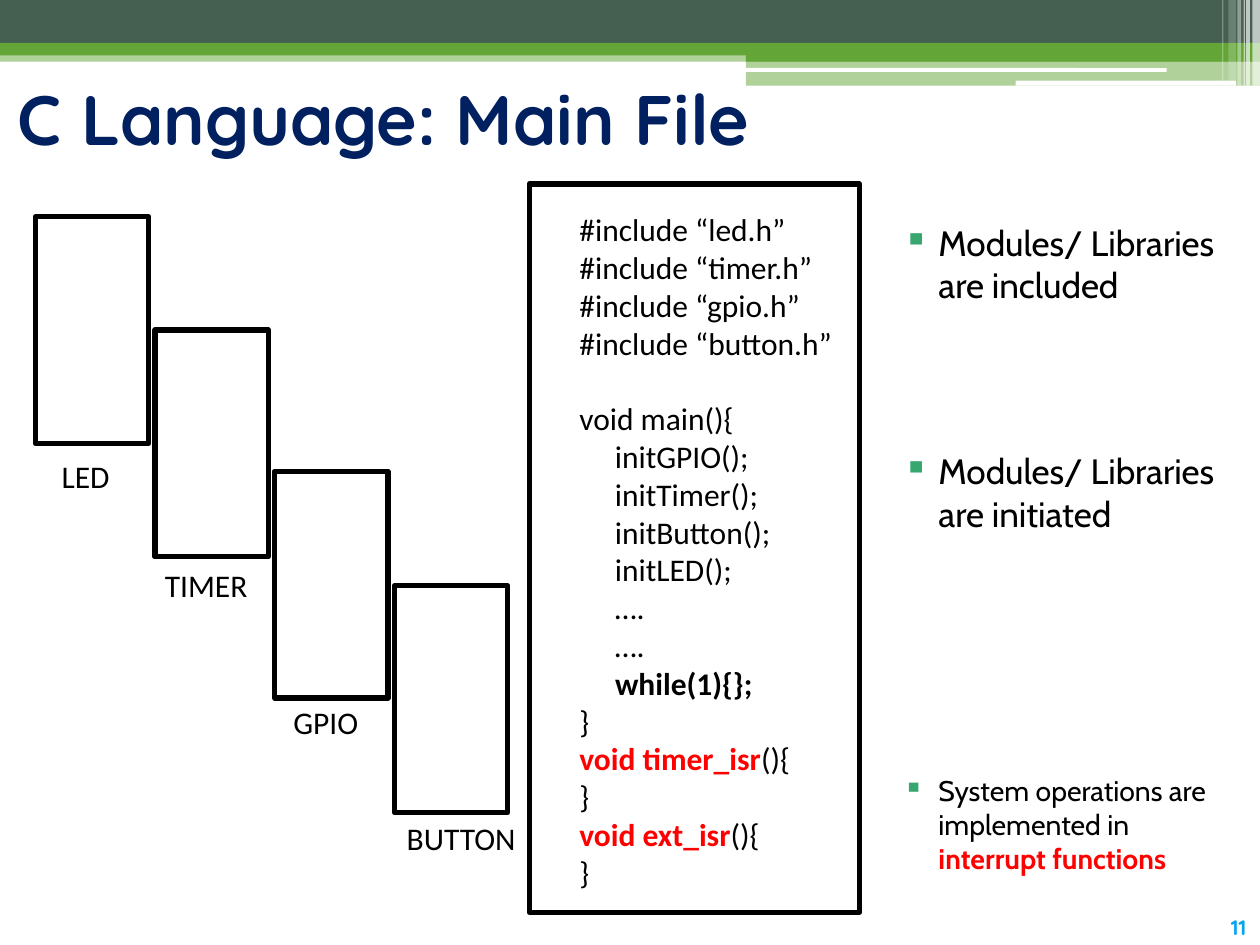
from lxml import etree
from pptx import Presentation
from pptx.dml.color import RGBColor
from pptx.enum import shapes, text
from pptx.oxml.ns import qn
from pptx.util import Inches, Pt

COLORS = {
    "dark": "455F51", "green": "63A537", "white": "FFFFFF", "black": "000000",
    "navy": "002060", "red": "FF0000", "bullet": "37A76F", "number": "08A5EF",
}


class SlideBuilder:
    def __init__(self, prs):
        self.slide = prs.slides.add_slide(prs.slide_layouts[5])

    @staticmethod
    def color(name):
        return RGBColor.from_string(COLORS[name])

    def style(self, font, face, size, color="black", bold=False):
        font.name, font.size, font.bold = face, Pt(size), bold
        font.color.rgb = self.color(color)

    def bar(self, x, y, w, h, fill, opacity=100, rounded=False):
        kind = shapes.MSO_SHAPE.ROUNDED_RECTANGLE if rounded else shapes.MSO_SHAPE.RECTANGLE
        bar = self.slide.shapes.add_shape(kind, *map(Inches, (x, y, w, h)))
        bar.shadow.inherit = False
        bar.line.fill.background()
        bar.fill.solid()
        bar.fill.fore_color.rgb = self.color(fill)
        if opacity < 100:
            rgb = bar.fill._xPr.find(".//" + qn("a:srgbClr"))
            etree.SubElement(rgb, qn("a:alpha"), val=str(opacity * 1000))

    def frame(self, x, y, w, h):
        frame = self.slide.shapes.add_shape(
            shapes.MSO_SHAPE.RECTANGLE, *map(Inches, (x, y, w, h)))
        frame.shadow.inherit = False
        frame.fill.background()
        frame.line.color.rgb = self.color("black")
        frame.line.width = Pt(3)

    def title(self, words, x, y, w, h):
        title = self.slide.shapes.title
        title.left, title.top, title.width, title.height = map(Inches, (x, y, w, h))
        title.text_frame.vertical_anchor = text.MSO_ANCHOR.MIDDLE
        title.text_frame.text = words
        heading = title.text_frame.paragraphs[0]
        heading.alignment = text.PP_ALIGN.LEFT
        self.style(heading.font, "Quicksand", 40, "navy", True)

    def text_box(self, x, y, w, h, wrap=True):
        box = self.slide.shapes.add_textbox(*map(Inches, (x, y, w, h)))
        box.text_frame.word_wrap = wrap
        return box.text_frame

    def label(self, words, x, y, w, h, face="Calibri", size=18, color="black",
              bold=False, align=text.PP_ALIGN.LEFT):
        line = self.text_box(x, y, w, h, wrap=False).paragraphs[0]
        line.text = words
        line.alignment = align
        self.style(line.font, face, size, color, bold)

    def runs(self, paragraph, parts):
        """Add (words, color, bold) parts; a None colour keeps the paragraph's."""
        for words, color, bold in parts:
            run = paragraph.add_run()
            run.text = words
            if bold:
                run.font.bold = True
            if color:
                run.font.color.rgb = self.color(color)

    def code(self, lines, x, y, w, h):
        frame = self.text_box(x, y, w, h)
        for i, parts in enumerate(lines):
            line = frame.paragraphs[0] if i == 0 else frame.add_paragraph()
            self.style(line.font, "Calibri", 18)
            self.runs(line, [(parts, None, False)] if isinstance(parts, str) else parts)

    def bullet(self, parts, x, y, w, h, size):
        note = self.text_box(x, y, w, h).paragraphs[0]
        props = note._p.get_or_add_pPr()
        props.set("marL", str(Inches(0.4)))
        props.set("indent", str(Inches(-0.28)))
        mark_color = etree.SubElement(props, qn("a:buClr"))
        etree.SubElement(mark_color, qn("a:srgbClr"), val=COLORS["bullet"])
        etree.SubElement(props, qn("a:buChar"), char="▪")
        self.style(note.font, "Cabin", size)
        self.runs(note, parts)


def main():
    prs = Presentation()
    prs.slide_width, prs.slide_height = Inches(10), Inches(7.5)
    page = SlideBuilder(prs)

    # Header bands
    page.bar(0, 0.4, 10, 0.09, "green", 50)
    page.bar(0, 0, 10, 0.34, "dark")
    page.bar(0, 0.34, 10, 0.1, "green")
    page.bar(5.92, 0.39, 4.08, 0.1, "green")
    page.bar(5.92, 0.48, 4.08, 0.2, "green", 50)
    page.bar(5.91, 0.54, 3.35, 0.03, "white", rounded=True)
    page.bar(8.06, 0.64, 1.75, 0.04, "white", rounded=True)

    # Vertical stripes in the corner
    for x, w, h, opacity in [(9.94, 0.06, 0.68, 65), (9.89, 0.03, 0.68, 65),
                             (9.87, 0.01, 0.68, 60), (9.82, 0.03, 0.68, 40),
                             (9.75, 0.06, 0.64, 20), (9.7, 0.01, 0.64, 30)]:
        page.bar(x, 0, w, h, "white", opacity)

    # Slide number and title
    page.label("11", 9.64, 7.21, 0.38, 0.3, "Quicksand", 12, "number", True,
               text.PP_ALIGN.CENTER)
    page.title("C Language: Main File", 0.04, 0.52, 9.85, 0.82)

    # Module staircase: name, frame top, label left, top and width
    modules = [("LED", 1.72, 0.39, 3.58, 0.59), ("TIMER", 2.62, 1.21, 4.44, 0.86),
               ("GPIO", 3.74, 2.23, 5.53, 0.72), ("BUTTON", 4.65, 3.13, 6.45, 1.07)]
    for i, (name, top, label_x, label_y, label_w) in enumerate(modules):
        page.frame(0.28 + 0.95 * i, top, 0.9, 1.8)
        page.label(name, label_x, label_y, label_w, 0.4)

    # Main file
    page.frame(4.2, 1.46, 2.62, 5.78)
    page.code([
        "#include “led.h”",
        "#include “timer.h”",
        "#include “gpio.h”",
        "#include “button.h”",
        "",
        "void main(){",
        "     initGPIO();",
        "     initTimer();",
        "     initButton();",
        "     initLED();",
        "     ….",
        "     ….",
        [("     ", None, False), ("while(1){};", None, True)],
        "}",
        [("void timer_isr", "red", True), ("(){", None, False)],
        "}",
        [("void ext_isr", "red", True), ("(){", None, False)],
        "}",
    ], 4.5, 1.62, 3.38, 5.5)

    # Remarks
    page.bullet([("System operations are implemented in ", None, False),
                 ("interrupt functions", "red", True)], 6.95, 6.09, 2.84, 0.99, 16.2)
    for verb, y in [("included", 1.71), ("initiated", 3.52)]:
        page.bullet([(f"Modules/ Libraries are {verb}", None, False)],
                    6.95, y, 2.84, 0.86, 20.1)

    prs.save("out.pptx")


if __name__ == "__main__":
    main()
